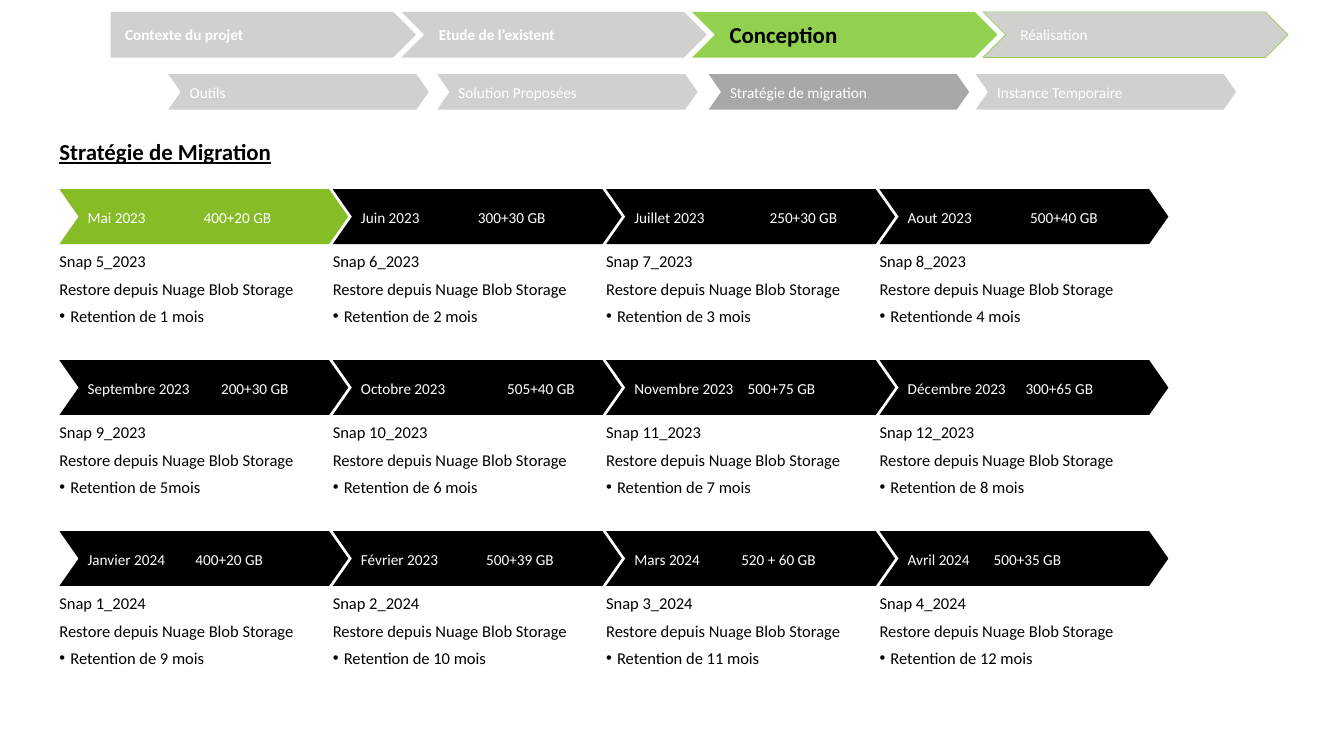
from lxml import etree
from pptx import Presentation
from pptx.dml.color import RGBColor
from pptx.enum.shapes import MSO_SHAPE
from pptx.enum.text import MSO_ANCHOR, PP_ALIGN
from pptx.oxml.ns import qn
from pptx.util import Inches, Pt

CHEVRON = MSO_SHAPE.CHEVRON
PENTAGON = MSO_SHAPE.PENTAGON
MIDDLE = MSO_ANCHOR.MIDDLE
TOP = MSO_ANCHOR.TOP
LEFT = PP_ALIGN.LEFT

FONT = "Calibri"
BLACK, WHITE = "000000", "FFFFFF"
PALE, GREY = "D0D0CE", "A7A8AA"
LIME, GREEN = "92D050", "86BC25"

STAGES = [
    ("Contexte du projet", PENTAGON, PALE, None, dict(bold=True)),
    ("Etude de l’existent", CHEVRON, PALE, None, dict(bold=True)),
    ("Conception", CHEVRON, LIME, None, dict(size=18, color=BLACK, bold=True)),
    ("Réalisation", CHEVRON, PALE, LIME, {}),
]
TOPICS = [
    ("Outils", 1.84, PALE),
    ("Solution Proposées", 4.78, PALE),
    ("Stratégie de migration", 7.75, GREY),
    ("Instance Temporaire", 10.67, PALE),
]
MONTHS = [
    ("Mai 2023", "400+20 GB", 1.27, "5_2023", "Retention de 1 mois"),
    ("Juin 2023", "300+30 GB", 1.28, "6_2023", "Retention de 2 mois"),
    ("Juillet 2023", "250+30 GB", 1.48, "7_2023", "Retention de 3 mois"),
    ("Aout 2023", "500+40 GB", 1.34, "8_2023", "Retentionde 4 mois"),
    ("Septembre 2023", "200+30 GB", 1.46, "9_2023", "Retention de 5mois"),
    ("Octobre 2023", "505+40 GB", 1.6, "10_2023", "Retention de 6 mois"),
    ("Novembre 2023", "500+75 GB", 1.24, "11_2023", "Retention de 7 mois"),
    ("Décembre 2023", "300+65 GB", 1.29, "12_2023", "Retention de 8 mois"),
    ("Janvier 2024", "400+20 GB", 1.18, "1_2024", "Retention de 9 mois"),
    ("Février 2023", "500+39 GB", 1.37, "2_2024", "Retention de 10 mois"),
    ("Mars 2024", "520 + 60 GB", 1.17, "3_2024", "Retention de 11 mois"),
    ("Avril 2024", "500+35 GB", 0.94, "4_2024", "Retention de 12 mois"),
]


def rgb(value):
    return RGBColor.from_string(value)


def set_frame(tf, left, other, anchor):
    tf.word_wrap = True
    tf.vertical_anchor = anchor
    tf.margin_left = Inches(left)
    tf.margin_top = tf.margin_right = tf.margin_bottom = Inches(other)


def write(p, text, size=12, color=WHITE, bold=False, underline=False,
          before=0, spacing=None, bullet=False, tab=None):
    p.alignment = LEFT
    p.space_before = Pt(before)
    if spacing:
        p.line_spacing = spacing
    pPr = p._p.get_or_add_pPr()
    if bullet:
        p.level = 1
        pPr.set("marL", str(Inches(0.12)))
        pPr.set("indent", str(-Inches(0.12)))
        etree.SubElement(pPr, qn("a:buFont"), typeface="Arial")
        etree.SubElement(pPr, qn("a:buChar"), char="•")
    if tab:
        tabs = etree.SubElement(pPr, qn("a:tabLst"))
        etree.SubElement(tabs, qn("a:tab"), pos=str(Inches(tab)), algn="l")
    r = p.add_run()
    r.text = text
    r.font.name = FONT
    r.font.size = Pt(size)
    r.font.bold = bold
    r.font.underline = underline
    r.font.color.rgb = rgb(color)


def add_text_box(s, x, y, w, h, anchor=TOP):
    tf = s.shapes.add_textbox(Inches(x), Inches(y), Inches(w), Inches(h)).text_frame
    set_frame(tf, 0, 0, anchor)
    return tf


def add_arrow(s, text, x, y, w, h, fill, kind=CHEVRON, point=0.35, line=None,
              inset=0.1, **style):
    sp = s.shapes.add_shape(kind, Inches(x), Inches(y), Inches(w), Inches(h))
    sp.adjustments[0] = point
    sp.shadow.inherit = False
    sp.fill.solid()
    sp.fill.fore_color.rgb = rgb(fill)
    if line:
        sp.line.color.rgb = rgb(line)
        sp.line.width = Pt(0.5)
    else:
        sp.line.fill.background()
    set_frame(sp.text_frame, inset, 0.1, MIDDLE)
    write(sp.text_frame.paragraphs[0], text, **style)


def add_month(s, index, month, volume, tab, snap, retention):
    row, col = divmod(index, 4)
    x, y = 0.65 + 2.99 * col, 2.07 + 1.87 * row
    add_arrow(s, f"{month}\t{volume}", x, y, 3.16, 0.6,
              BLACK if index else GREEN, spacing=1.06, tab=tab)
    tf = add_text_box(s, x, y + 0.68, 2.76, 1.28)
    body = dict(size=13, color=BLACK)
    write(tf.paragraphs[0], f"Snap {snap}", **body)
    write(tf.add_paragraph(), "Restore depuis Nuage Blob Storage", before=6, **body)
    write(tf.add_paragraph(), retention, before=6, bullet=True, **body)


def main():
    prs = Presentation()
    prs.slide_width, prs.slide_height = Inches(14.7), Inches(8.27)
    s = prs.slides.add_slide(prs.slide_layouts[6])

    for i, (text, kind, fill, line, style) in enumerate(STAGES):
        add_arrow(s, text, 1.21 + 3.18 * i, 0.13, 3.34, 0.5, fill, kind=kind,
                  point=0.5, line=line, inset=0.16, **style)
    for text, x, fill in TOPICS:
        add_arrow(s, text, x, 0.81, 2.85, 0.39, fill, spacing=1.06)

    title = add_text_box(s, 0.65, 1.51, 3.29, 0.3, MIDDLE)
    write(title.paragraphs[0], "Stratégie de Migration", size=18, color=BLACK,
          bold=True, underline=True)
    for index, month in enumerate(MONTHS):
        add_month(s, index, *month)

    prs.save("out.pptx")


if __name__ == "__main__":
    main()
